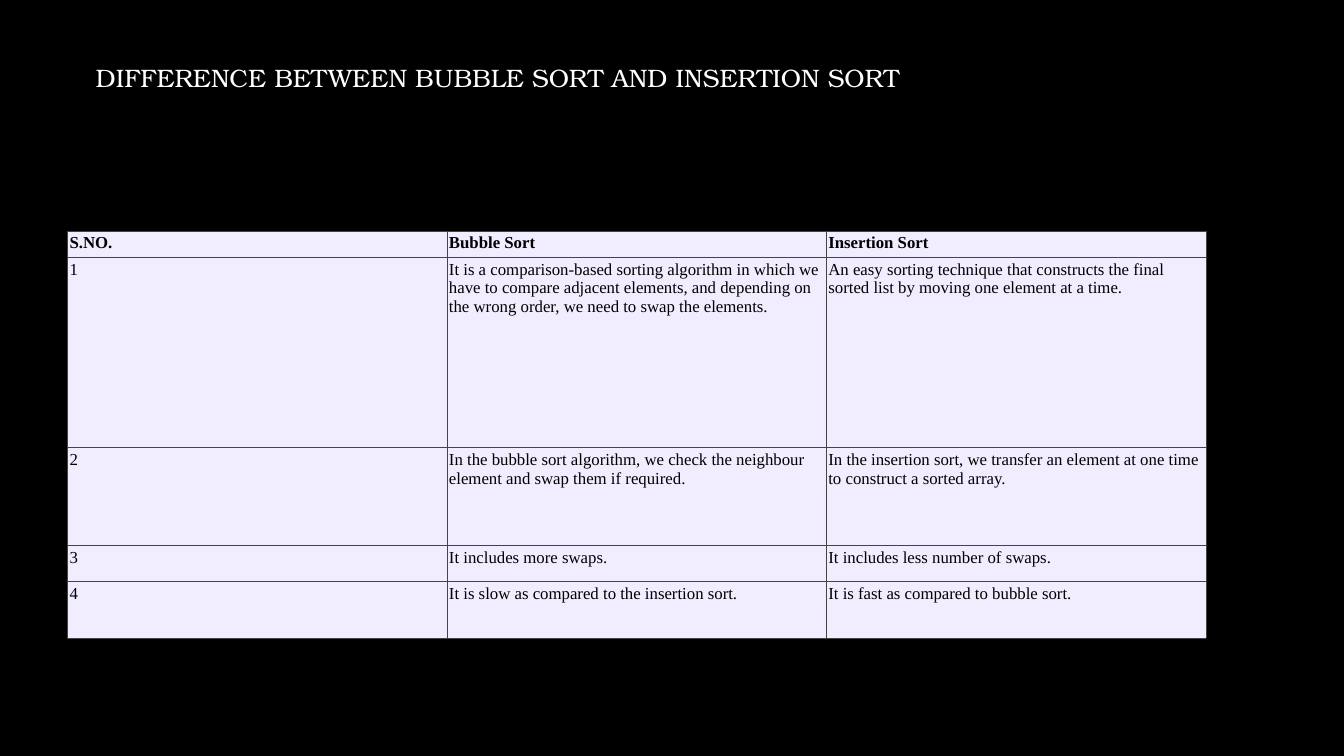
from dataclasses import dataclass
from lxml.etree import SubElement
from pptx import Presentation
from pptx.dml.color import RGBColor
from pptx.enum.text import MSO_AUTO_SIZE
from pptx.oxml.ns import qn
from pptx.util import Inches, Pt


@dataclass(frozen=True)
class Theme:
    back: str = "000000"
    light: str = "FFFFFF"
    ink: str = "000000"
    cell: str = "F1EDFF"
    rule: str = "444444"
    head: str = "TeX Gyre Bonum"
    body: str = "Times New Roman"
    large: int = 18
    small: int = 12
    thin: float = 0.25
    thick: float = 0.5


def apply(target, values):
    for key, value in values.items():
        setattr(target, key, value)


class Deck:
    def __init__(self, theme):
        self.theme = theme
        self.show = Presentation()
        apply(self.show, {"slide_width": Inches(13.33), "slide_height": Inches(7.5)})
        self.slide = self.show.slides.add_slide(self.show.slide_layouts[6])
        self.paint(self.slide.background.fill, theme.back)

    def paint(self, fill, color):
        fill.solid()
        fill.fore_color.rgb = RGBColor.from_string(color)

    def label(self, frame, text, face, size, color, bold=False):
        run = frame.paragraphs[0].add_run()
        run.text = text
        apply(run.font, {"name": face, "size": Pt(size), "bold": bold})
        run.font.color.rgb = RGBColor.from_string(color)

    def title(self, text, area):
        look = self.theme
        frame = self.slide.shapes.add_textbox(*map(Inches, area)).text_frame
        apply(frame, {"word_wrap": True, "auto_size": MSO_AUTO_SIZE.SHAPE_TO_FIT_TEXT})
        self.label(frame, text, look.head, look.large, look.light)

    def border(self, cell, last):
        look = self.theme
        props = cell._tc.get_or_add_tcPr()
        for side in "LRTB":
            width = look.thick if last and side == "B" else look.thin
            line = SubElement(props, qn(f"a:ln{side}"), w=str(int(Pt(width))))
            fill = SubElement(line, qn("a:solidFill"))
            SubElement(fill, qn("a:srgbClr"), val=look.rule)

    def table(self, rows, area, highs):
        look = self.theme
        grid = self.slide.shapes.add_table(
            len(rows), len(rows[0]), *map(Inches, area)).table
        apply(grid, {"first_row": False, "horz_banding": False})
        for row, high in zip(grid.rows, highs):
            row.height = Inches(high)
        pads = {"margin_left": Inches(0.02), "margin_right": Inches(0.02),
                "margin_top": Inches(0.03), "margin_bottom": Inches(0.03)}
        for i, row in enumerate(rows):
            for j, text in enumerate(row):
                cell = grid.cell(i, j)
                apply(cell, pads)
                self.border(cell, i == len(rows) - 1)
                self.paint(cell.fill, look.cell)
                self.label(cell.text_frame, text, look.body, look.small,
                           look.ink, i == 0)

    def save(self):
        self.show.save("out.pptx")


ROWS = [
    ("S.NO.", "Bubble Sort", "Insertion Sort"),
    ("1",
     "It is a comparison-based sorting algorithm in which we have to compare "
     "adjacent elements, and depending on the wrong order, we need to swap the elements.",
     "An easy sorting technique that constructs the final sorted list "
     "by moving one element at a time."),
    ("2",
     "In the bubble sort algorithm, we check the neighbour element "
     "and swap them if required.",
     "In the insertion sort, we transfer an element at one time "
     "to construct a sorted array."),
    ("3", "It includes more swaps.", "It includes less number of swaps."),
    ("4", "It is slow as compared to the insertion sort.",
     "It is fast as compared to bubble sort."),
]


def main():
    deck = Deck(Theme())
    deck.table(ROWS, (0.67, 2.29, 11.29, 4.04), (0.26, 1.89, 0.97, 0.36, 0.56))
    deck.title("DIFFERENCE BETWEEN BUBBLE SORT AND INSERTION SORT",
               (0.85, 0.57, 8.91, 0.4))
    deck.save()


if __name__ == "__main__":
    main()
